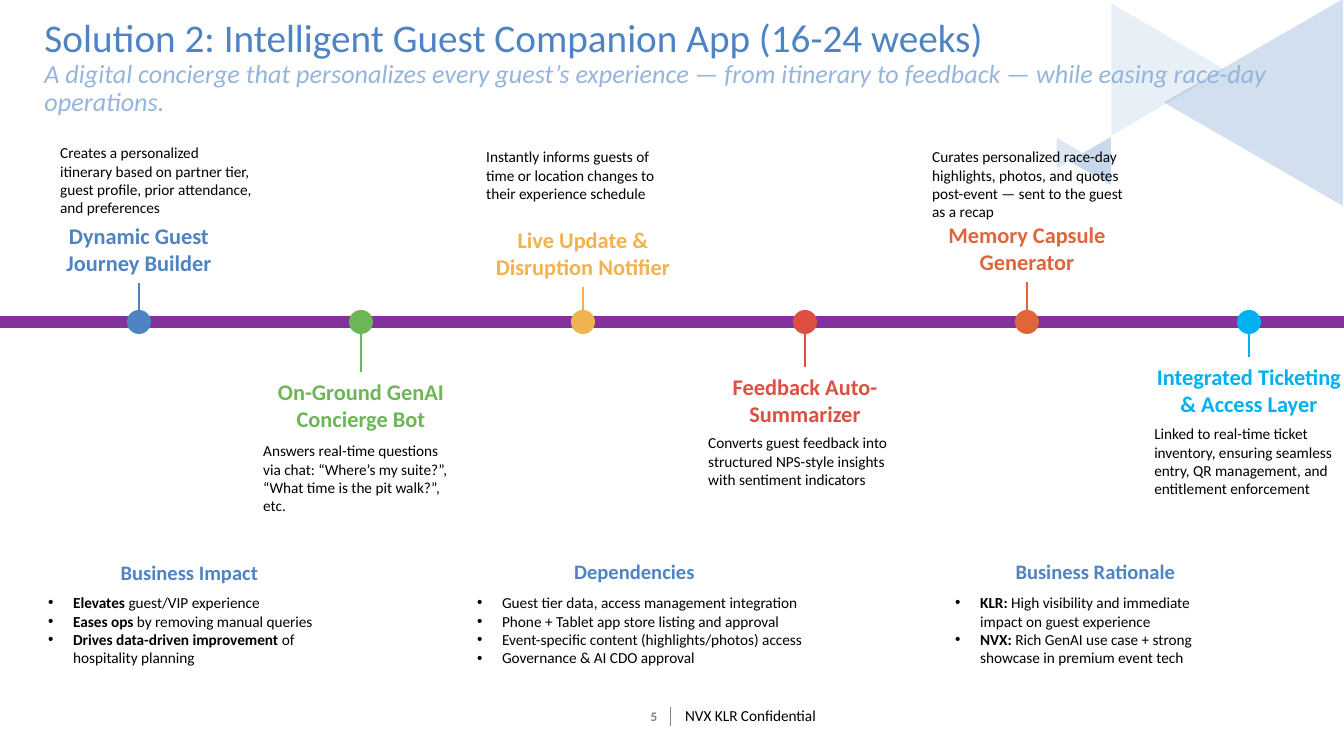
from lxml.etree import SubElement
from pptx import Presentation
from pptx.dml.color import RGBColor
from pptx.enum.shapes import MSO_CONNECTOR, MSO_SHAPE
from pptx.enum.text import MSO_ANCHOR, MSO_AUTO_SIZE, PP_ALIGN
from pptx.oxml.ns import qn
from pptx.util import Emu, Pt

PX = 914400 / 134.4
COLORS = {
    "blue": "4E84C4", "pale blue": "95B5DC", "green": "6DB657",
    "yellow": "F0B34F", "red": "DD5041", "orange": "DF653A",
    "cyan": "00B0F0", "purple": "84329B", "gray": "808285",
    "number": "808080", "black": "000000",
}
BODY = {"size": Pt(8.2), "bold": False}
LABEL = {"size": Pt(12), "bold": True}
HEADING = {"size": Pt(11), "bold": True}
NUMBER = {"size": Pt(7), "bold": True}
GROW = {"auto_size": MSO_AUTO_SIZE.SHAPE_TO_FIT_TEXT}
CENTERED = {"vertical_anchor": MSO_ANCHOR.MIDDLE, "margin_left": 0, "margin_right": 0,
            "margin_top": 0, "margin_bottom": 0}

prs = Presentation()
prs.slide_width, prs.slide_height = Emu(round(1344 * PX)), Emu(round(756 * PX))
slide = prs.slides.add_slide(prs.slide_layouts[5])
shapes = slide.shapes


def add_text(box, paragraphs, color, font, frame=GROW, align=PP_ALIGN.LEFT, bullets=False):
    """Each paragraph is a list of runs; a run starting with * is bold."""
    text_box = shapes.add_textbox(*[Emu(round(v * PX)) for v in box])
    text_frame = text_box.text_frame
    text_frame.word_wrap = True
    for name, value in frame.items():
        setattr(text_frame, name, value)
    for index, runs in enumerate(paragraphs):
        paragraph = text_frame.add_paragraph() if index else text_frame.paragraphs[0]
        paragraph.alignment = align
        if bullets:
            properties = paragraph._p.get_or_add_pPr()
            properties.set("marL", str(round(25 * PX)))
            properties.set("indent", str(round(-25 * PX)))
            SubElement(properties, qn("a:buFont")).set("typeface", "Arial")
            SubElement(properties, qn("a:buChar")).set("char", "•")
        for words in runs:
            run = paragraph.add_run()
            run.text = words.lstrip("*")
            run.font.name = "Calibri"
            run.font.color.rgb = RGBColor.from_string(COLORS[color])
            for name, value in font.items():
                setattr(run.font, name, value)
            if words.startswith("*"):
                run.font.bold = True
    return text_box


def add_line(start, end, color, width):
    line = shapes.add_connector(MSO_CONNECTOR.STRAIGHT,
                                *[Emu(round(v * PX)) for v in (*start, *end)])
    line.line.color.rgb = RGBColor.from_string(COLORS[color])
    line.line.width = Pt(width)
    SubElement(line._element.spPr, qn("a:effectLst"))
    return line


# Corner decoration: box, rotation, opacity in percent
for box, rotation, opacity in [
    ((1066, 140, 48, 42), 270, 30),
    ((1054, 140, 31, 26), 90, 19),
    ((1150, 13, 207, 179), 270, 26),
    ((1102, 13, 132, 113), 90, 13),
]:
    triangle = shapes.add_shape(MSO_SHAPE.ISOSCELES_TRIANGLE,
                                *[Emu(round(v * PX)) for v in box])
    triangle.rotation = rotation
    triangle.shadow.inherit = False
    triangle.line.fill.background()
    triangle.fill.solid()
    triangle.fill.fore_color.rgb = RGBColor.from_string(COLORS["blue"])
    fill_color = triangle._element.spPr.find(".//" + qn("a:srgbClr"))
    SubElement(fill_color, qn("a:alpha")).set("val", str(opacity * 1000))

# Title and subtitle, in front of the decoration
title = shapes.title
title.element.getparent().append(title.element)
title.left, title.top, title.width, title.height = [
    Emu(round(v * PX)) for v in (31, 12, 1298, 81)]
title.text_frame.vertical_anchor = MSO_ANCHOR.TOP
title.text_frame.auto_size = MSO_AUTO_SIZE.NONE
headline = title.text_frame.paragraphs[0]
headline.alignment = PP_ALIGN.LEFT
headline.line_spacing = 0.9
for words, size, color, italic in [
    ("Solution 2: Intelligent Guest Companion App (16-24 weeks)", 21, "blue", False),
    ("A digital concierge that personalizes every guest’s experience — from itinerary "
     "to feedback — while easing race-day operations.", 14, "pale blue", True),
]:
    if headline.runs:
        headline.add_line_break()
    run = headline.add_run()
    run.text = words
    run.font.name, run.font.size, run.font.italic = "Calibri", Pt(size), italic
    run.font.color.rgb = RGBColor.from_string(COLORS[color])

# Footer
add_line((670, 707), (670, 726), "gray", 0.5)
add_text((632, 707, 44, 19), [["5"]], "number", NUMBER,
         {"vertical_anchor": MSO_ANCHOR.MIDDLE}, PP_ALIGN.CENTER)
add_text((672, 700, 276, 26), [["NVX KLR Confidential"]], "black", BODY)

# Timeline: label, color, label top, label width, note position, note lines, note
AXIS_Y, FIRST_X, STEP, RADIUS, LABEL_HEIGHT = 322, 139, 222, 12, 67
add_line((1344, AXIS_Y), (0, AXIS_Y), "purple", 6.75)
features = [
    ("Dynamic Guest Journey Builder", "blue", 216, 220, (47, 137), 4,
     "Creates a personalized itinerary based on partner tier, guest profile, "
     "prior attendance, and preferences"),
    ("On-Ground GenAI Concierge Bot", "green", 372, 235, (250, 435), 4,
     "Answers real-time questions via chat: “Where’s my suite?”, "
     "“What time is the pit walk?”, etc."),
    ("Live Update & Disruption Notifier", "yellow", 220, 220, (473, 141), 3,
     "Instantly informs guests of time or location changes to their experience schedule"),
    ("Feedback Auto-Summarizer", "red", 367, 220, (695, 427), 3,
     "Converts guest feedback into structured NPS-style insights with sentiment indicators"),
    ("Memory Capsule Generator", "orange", 215, 220, (919, 141), 4,
     "Curates personalized race-day highlights, photos, and quotes post-event — "
     "sent to the guest as a recap"),
    ("Integrated Ticketing & Access Layer", "cyan", 357, 220, (1141, 418), 4,
     "Linked to real-time ticket inventory, ensuring seamless entry, QR management, "
     "and entitlement enforcement"),
]
for index, (feature, color, top, width, note_at, note_lines, note) in enumerate(features):
    x = FIRST_X + index * STEP
    label = add_text((x - width / 2, top, width, LABEL_HEIGHT), [[feature]], color, LABEL,
                     align=PP_ALIGN.CENTER)
    above = top < AXIS_Y
    dot_edge = AXIS_Y - RADIUS if above else AXIS_Y + RADIUS
    label_edge = top + LABEL_HEIGHT if above else top
    stem = add_line((x, dot_edge), (x, label_edge), color, 1.5)
    stem.end_connect(label, 2 if above else 0)
    dot = shapes.add_shape(MSO_SHAPE.OVAL, *[
        Emu(round(v * PX)) for v in (x - RADIUS, AXIS_Y - RADIUS, 2 * RADIUS, 2 * RADIUS)])
    dot.shadow.inherit = False
    dot.line.fill.background()
    dot.fill.solid()
    dot.fill.fore_color.rgb = RGBColor.from_string(COLORS[color])
    add_text((*note_at, 219, 15 + 18 * note_lines), [[note]], "black", BODY)

# Business case: heading, heading position, list left, list width, bullets
for heading, heading_at, left, width, points in [
    ("Business Impact", (78, 551), 35, 325, [
        ["*Elevates ", "guest/VIP experience"],
        ["*Eases ops ", "by removing manual queries"],
        ["*Drives data-driven improvement ", "of hospitality planning"]]),
    ("Dependencies", (523, 550), 464, 376, [
        ["Guest tier data, access management integration"],
        ["Phone + Tablet app store listing and approval"],
        ["Event-specific content (highlights/photos) access"],
        ["Governance & AI CDO approval"]]),
    ("Business Rationale", (984, 550), 942, 306, [
        ["*KLR: ", "High visibility and immediate impact on guest experience"],
        ["*NVX: ", "Rich GenAI use case + strong showcase in premium event tech"]]),
]:
    add_text((left, 587, width, 87), points, "black", BODY, bullets=True)
    add_text((*heading_at, 223, 43), [[heading]], "blue", HEADING, CENTERED, PP_ALIGN.CENTER)

prs.save("out.pptx")
